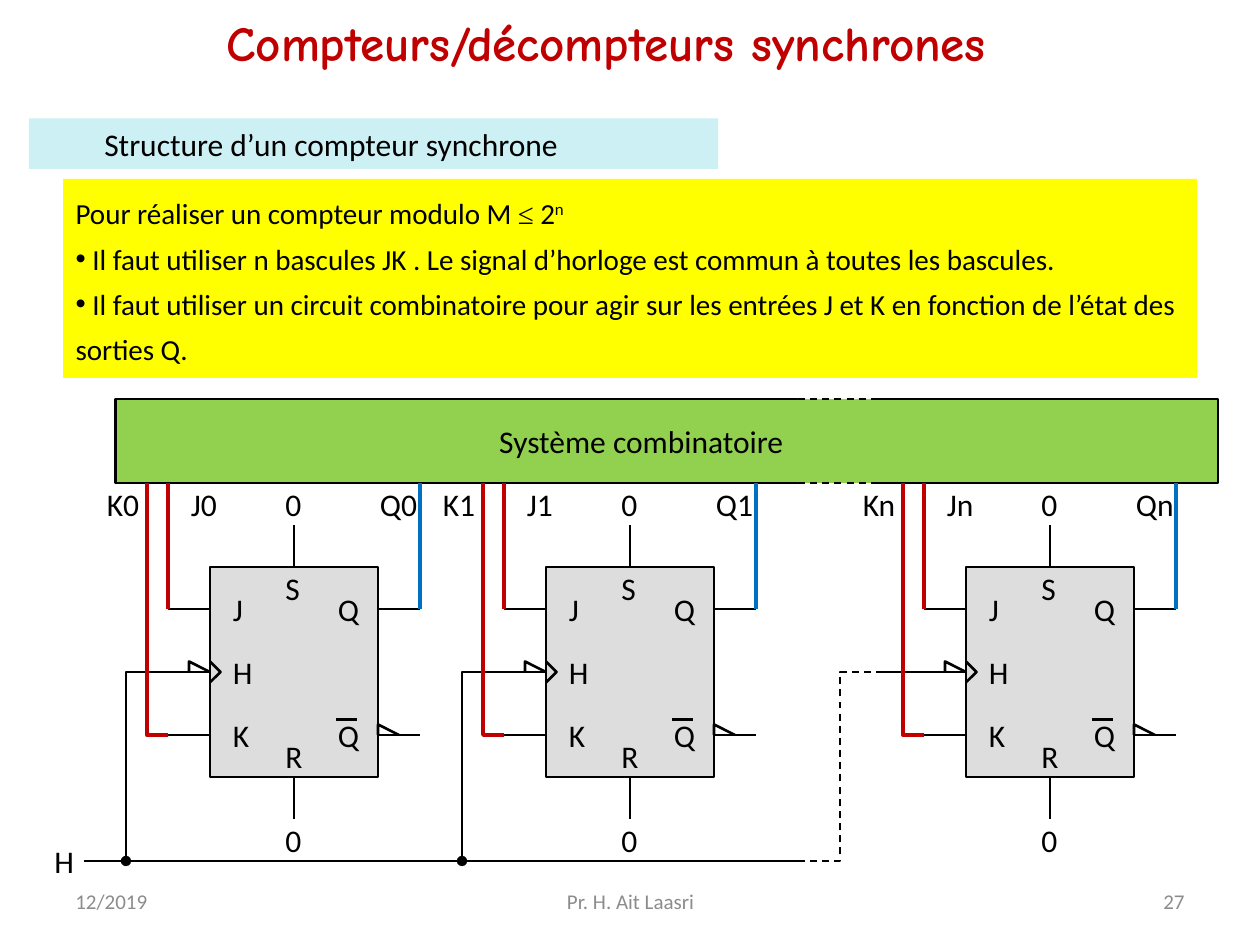
from lxml.etree import SubElement
from pptx import Presentation
from pptx.dml.color import RGBColor
from pptx.enum.dml import MSO_LINE
from pptx.enum.shapes import MSO_CONNECTOR, MSO_SHAPE
from pptx.enum.text import MSO_ANCHOR, MSO_AUTO_SIZE, PP_ALIGN
from pptx.oxml.ns import qn
from pptx.util import Inches, Pt

COLORS = {"black": "000000", "red": "C00000", "blue": "0070C0", "green": "92D050",
          "grey": "DDDDDD", "yellow": "FFFF00", "pale": "CCF0F4", "footer": "8C8C8C"}
UNIT = 1 / 6  # grid step of the circuit, in inches

# Content
TITLE = "Compteurs/décompteurs synchrones"
HEADING = "Structure d’un compteur synchrone"
BODY = [
    (False, [("Pour réaliser un compteur modulo M ", {}), ("≤", {"name": "Times New Roman"}),
             (" 2", {}), ("n", {"raised": True})]),
    (True, [(" Il faut utiliser n bascules JK . Le signal d’horloge est commun à toutes les bascules.", {})]),
    (True, [(" Il faut utiliser un circuit combinatoire pour agir sur les entrées J et K "
             "en fonction de l’état des sorties Q.", {})]),
]
FOOTER = [("12/2019", 0.5, 2.33, PP_ALIGN.LEFT), ("Pr. H. Ait Laasri", 3.42, 3.17, PP_ALIGN.CENTER),
          ("27", 7.17, 2.33, PP_ALIGN.RIGHT)]

# Circuit, in grid steps; x is counted from the left edge of each flip-flop
FLIP_FLOPS = {"0": 10, "1": 26, "n": 46}
PINS = [("J", 0.5, 28), ("Q", 5.5, 28), ("H", 0.5, 31), ("K", 0.5, 34), ("Q", 5.5, 34),
        ("S", 3, 27), ("R", 3, 35)]
PIN_WIRES = [
    [(-2, 29), (0, 29)], [(8, 29), (10, 29)], [(8, 35), (10, 35)], [(6, 34.25), (7, 34.25)],
    [(-2, 32), (0, 32)], [(-2, 35), (0, 35)], [(4, 39), (4, 37)], [(4, 27), (4, 25)],
    [(0, 31.5), (0.5, 32), (0, 32.5)], [(8, 35), (8, 34.5), (9, 35)], [(0, 32), (-1, 31.5), (-1, 32)],
]
CLOCK = [
    ([(4, 41), (6, 41), (6, 32), (8, 32)], {}),
    ([(6, 41), (22, 41), (22, 32), (24, 32)], {"dot": True}),
    ([(22, 41), (38, 41)], {"dot": True}),
    ([(38, 41), (40, 41), (40, 32), (42, 32)], {"width": 1, "dash": True}),
    ([(42, 32), (44, 32)], {}),
]

deck = Presentation()
deck.slide_width, deck.slide_height = Inches(10), Inches(7.5)
page = deck.slides.add_slide(deck.slide_layouts[1])
shapes = page.shapes


def rgb(name):
    return RGBColor.from_string(COLORS[name])


def grid(value):
    return Inches(value * UNIT)


def put(shape, left, top, width, height):
    for name, value in zip(("left", "top", "width", "height"), (left, top, width, height)):
        setattr(shape, name, Inches(value))


def add_span(para, text, size=18, color="black", name="Calibri", bold=False, raised=False):
    span = para.add_run()
    span.text = text
    for key, value in {"size": Pt(size), "name": name, "bold": bold}.items():
        setattr(span.font, key, value)
    span.font.color.rgb = rgb(color)
    if raised:
        span.font._element.set("baseline", "30000")


def set_frame(frame, anchor=MSO_ANCHOR.MIDDLE, wrap=True):
    values = {"word_wrap": wrap, "auto_size": MSO_AUTO_SIZE.NONE, "vertical_anchor": anchor}
    for key, value in values.items():
        setattr(frame, key, value)
    return frame.paragraphs[0]


def add_text(text, left, top, width, height, align=PP_ALIGN.LEFT, wrap=True, **font):
    box = shapes.add_textbox(Inches(left), Inches(top), Inches(width), Inches(height))
    para = set_frame(box.text_frame, wrap=wrap)
    para.alignment = align
    add_span(para, text, **font)


def add_label(text, x, y):
    add_text(text, x * UNIT, y * UNIT, 2 * UNIT, 2 * UNIT, wrap=False)


def add_rect(left, top, width, height, fill, outlined=False):
    rect = shapes.add_shape(MSO_SHAPE.RECTANGLE, *map(Inches, (left, top, width, height)))
    rect.shadow.inherit = False
    rect.fill.solid()
    rect.fill.fore_color.rgb = rgb(fill)
    if outlined:
        rect.line.color.rgb, rect.line.width = rgb("black"), Pt(1.5)
    else:
        rect.line.fill.background()
    return rect


def add_wire(points, color="black", width=1.5, dash=False, dot=False, fill=None, shift=0):
    points = [(grid(x + shift), grid(y)) for x, y in points]
    if len(points) == 2:
        wire = shapes.add_connector(MSO_CONNECTOR.STRAIGHT, *points[0], *points[1])
    else:
        builder = shapes.build_freeform(*points[0], scale=1.0)
        builder.add_line_segments(points[1:], close=False)
        wire = builder.convert_to_shape()
        wire.shadow.inherit = False
        if fill:
            wire.fill.solid()
            wire.fill.fore_color.rgb = rgb(fill)
        else:
            wire.fill.background()
    wire.line.color.rgb, wire.line.width = rgb(color), Pt(width)
    if dash:
        wire.line.dash_style = MSO_LINE.DASH
    if dot:
        SubElement(wire.line._get_or_add_ln(), qn("a:headEnd"), type="oval")
    if len(points) == 2:
        SubElement(wire._element.spPr, qn("a:effectLst"))


# Title and body
title, body = page.placeholders[0], page.placeholders[1]
put(title, 0.31, -0.16, 9, 0.99)
para = set_frame(title.text_frame)
para.alignment = PP_ALIGN.CENTER
add_span(para, TITLE, size=28, color="red", name="Comic Neue", bold=True)

put(body, 0.5, 1.42, 9, 1.58)
body.fill.solid()
body.fill.fore_color.rgb = rgb("yellow")
set_frame(body.text_frame, MSO_ANCHOR.TOP)
for index, (bulleted, spans) in enumerate(BODY):
    para = body.text_frame.add_paragraph() if index else body.text_frame.paragraphs[0]
    para.line_spacing, para.space_before = 1.3, Pt(0)
    props = para._p.get_or_add_pPr()
    props.set("marL", "0")
    props.set("indent", "0")
    if bulleted:
        SubElement(props, qn("a:buChar"), char="•")
    else:
        SubElement(props, qn("a:buNone"))
    for text, font in spans:
        add_span(para, text, size=16.6, **font)

# Heading band
band = add_rect(0.23, 0.94, 5.47, 0.4, "pale")
para = set_frame(band.text_frame)
para.alignment = PP_ALIGN.LEFT
para._p.get_or_add_pPr().set("marL", str(Inches(0.5)))
add_span(para, HEADING)

# Flip-flops
for x in FLIP_FLOPS.values():
    add_rect(x * UNIT, 27 * UNIT, 8 * UNIT, 10 * UNIT, "grey", outlined=True)
    for points in PIN_WIRES:
        add_wire(points, shift=x)
    for text, dx, y in PINS:
        add_label(text, x + dx, y)

# Combinational system, with a dashed gap
for gap, edge in ((41.5, 58), (38, 5.5)):
    add_wire([(gap, 23), (edge, 23), (edge, 19), (gap, 19)], fill="green")
add_rect(38 * UNIT, 19 * UNIT, 3.5 * UNIT, 4 * UNIT, "green")
for y in (19, 23):
    add_wire([(38, y), (41.5, y)], width=1, dash=True)
add_text("Système combinatoire", 0.92, 19 * UNIT, 8.34, 4 * UNIT, PP_ALIGN.CENTER, wrap=False)

# Clock line
add_label("H", 2, 40)
for points, style in CLOCK:
    add_wire(points, **style)

# Links between the flip-flops and the system
for suffix, x in FLIP_FLOPS.items():
    add_wire([(10, 29), (10, 23)], "blue", 2.25, shift=x)
    add_wire([(-2, 29), (-2, 23)], "red", 2.25, shift=x)
    add_wire([(-3, 23), (-3, 35), (-2, 35)], "red", 2.25, shift=x)
    for letter, dx in (("K", -5.5), ("J", -1.5), ("Q", 7.5)):
        add_label(letter + suffix, x + dx, 23)
    for y in (23, 39):
        add_label("0", x + 3, y)

# Footer
for text, left, width, align in FOOTER:
    add_text(text, left, 6.95, width, 0.4, align, size=12, color="footer")

deck.save("out.pptx")
